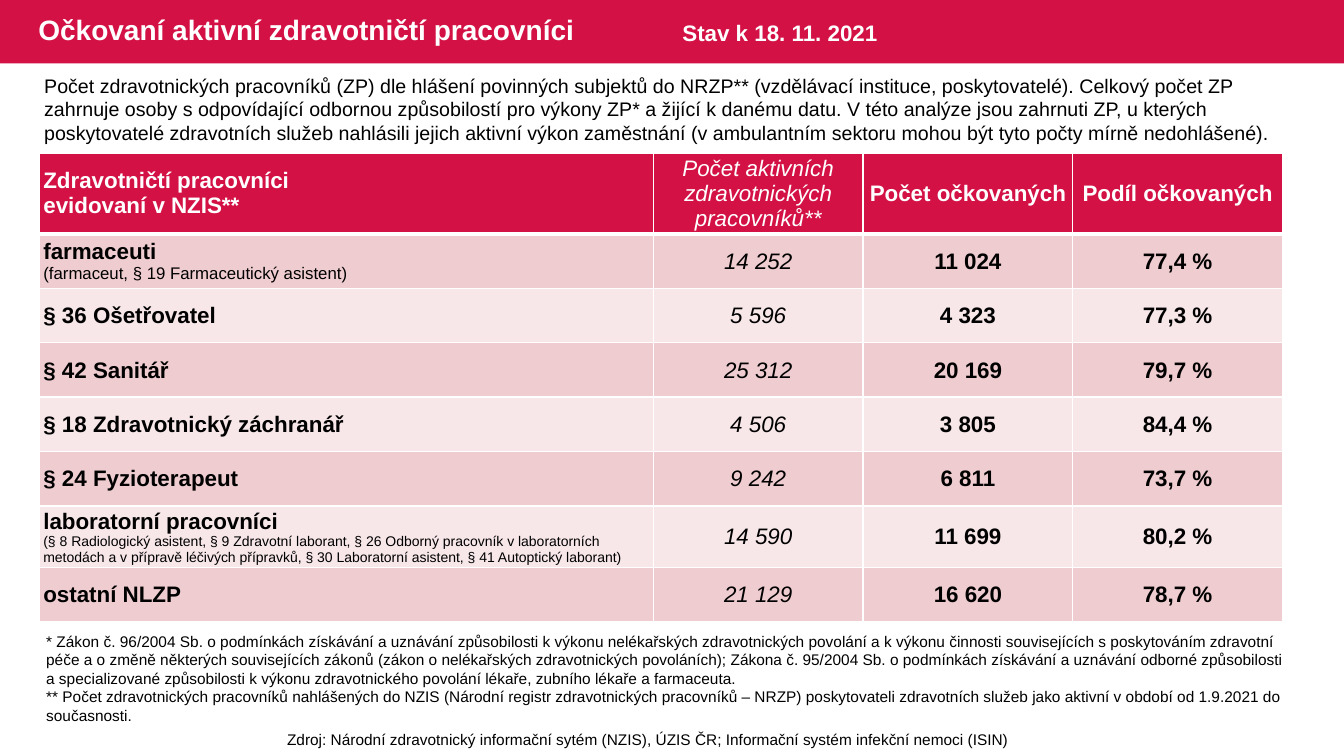
from dataclasses import dataclass

from lxml.etree import SubElement
from pptx import Presentation
from pptx.dml.color import RGBColor
from pptx.enum.shapes import MSO_SHAPE
from pptx.enum.text import MSO_ANCHOR, MSO_AUTO_SIZE, PP_ALIGN
from pptx.oxml.ns import qn
from pptx.util import Inches, Pt


@dataclass(frozen=True)
class Theme:
    font: str = "Arial"
    crimson: str = "D31145"
    dark_row: str = "EFCCCF"
    light_row: str = "F7E7E9"
    white: str = "FFFFFF"
    black: str = "000000"
    title: int = 20
    table: int = 16
    intro: int = 14
    detail: int = 12
    note: int = 11
    small: int = 10


THEME = Theme()

INTRO = (
    "Počet zdravotnických pracovníků (ZP) dle hlášení povinných subjektů do NRZP** "
    "(vzdělávací instituce, poskytovatelé). Celkový počet ZP zahrnuje osoby s odpovídající "
    "odbornou způsobilostí pro výkony ZP* a žijící k danému datu. V této analýze jsou zahrnuti "
    "ZP, u kterých poskytovatelé zdravotních služeb nahlásili jejich aktivní výkon zaměstnání "
    "(v ambulantním sektoru mohou být tyto počty mírně nedohlášené)."
)
NOTES = (
    "* Zákon č. 96/2004 Sb. o podmínkách získávání a uznávání způsobilosti k výkonu "
    "nelékařských zdravotnických povolání a k výkonu činnosti souvisejících s poskytováním "
    "zdravotní péče a o změně některých souvisejících zákonů (zákon o nelékařských "
    "zdravotnických povoláních); Zákona č. 95/2004 Sb. o podmínkách získávání a uznávání "
    "odborné způsobilosti a specializované způsobilosti k výkonu zdravotnického povolání "
    "lékaře, zubního lékaře a farmaceuta.\n"
    "** Počet zdravotnických pracovníků nahlášených do NZIS (Národní registr zdravotnických "
    "pracovníků – NRZP) poskytovateli zdravotních služeb jako aktivní v období od 1.9.2021 "
    "do současnosti."
)
SOURCE = (
    "Zdroj: Národní zdravotnický informační sytém (NZIS), ÚZIS ČR; "
    "Informační systém infekční nemoci (ISIN)"
)
LAB_DETAIL = (
    "(§ 8 Radiologický asistent, § 9 Zdravotní laborant, § 26 Odborný pracovník v laboratorních "
    "metodách a v přípravě léčivých přípravků, § 30 Laboratorní asistent, § 41 Autoptický laborant)"
)
HEADER = (
    "Zdravotničtí pracovníci\nevidovaní v NZIS**",
    "Počet aktivních zdravotnických pracovníků**",
    "Počet očkovaných",
    "Podíl očkovaných",
)
WORKERS = [
    ("farmaceuti\n(farmaceut, § 19 Farmaceutický asistent)", "14 252", "11 024", "77,4 %"),
    ("§ 36 Ošetřovatel", "5 596", "4 323", "77,3 %"),
    ("§ 42 Sanitář", "25 312", "20 169", "79,7 %"),
    ("§ 18 Zdravotnický záchranář", "4 506", "3 805", "84,4 %"),
    ("§ 24 Fyzioterapeut", "9 242", "6 811", "73,7 %"),
    ("laboratorní pracovníci\n" + LAB_DETAIL, "14 590", "11 699", "80,2 %"),
    ("ostatní NLZP", "21 129", "16 620", "78,7 %"),
]
DETAIL_SIZES = {1: THEME.detail, 6: THEME.small}
COLUMN_WIDTHS = (6.09, 2.08, 2.08, 2.08)
ROW_HEIGHTS = (0.75, 0.54, 0.54, 0.54, 0.54, 0.54, 0.57, 0.54)


def format_para(para, size, color, bold=False, italic=False, align=PP_ALIGN.LEFT):
    para.alignment = align
    for span in para.runs:
        span.font.name = THEME.font
        span.font.size = Pt(size)
        span.font.bold = bold
        span.font.italic = italic
        span.font.color.rgb = RGBColor.from_string(color)


def add_band(page, width):
    band = page.shapes.add_shape(MSO_SHAPE.RECTANGLE, 0, 0, width, Inches(0.63))
    band.shadow.inherit = False
    band.fill.solid()
    band.fill.fore_color.rgb = RGBColor.from_string(THEME.crimson)
    band.line.fill.background()
    page.shapes.title.element.addprevious(band.element)


def set_title(page, text):
    title = page.shapes.title
    title.left, title.top = Inches(0.28), Inches(0)
    title.width, title.height = Inches(8.13), Inches(0.63)
    frame = title.text_frame
    frame.text = text
    frame.auto_size = MSO_AUTO_SIZE.NONE
    frame.vertical_anchor = MSO_ANCHOR.MIDDLE
    frame.paragraphs[0].line_spacing = 0.9
    format_para(frame.paragraphs[0], THEME.title, THEME.white, bold=True)


def add_text(page, text, left, top, width, height, size, color=THEME.black, **style):
    box = page.shapes.add_textbox(Inches(left), Inches(top), Inches(width), Inches(height))
    frame = box.text_frame
    frame.word_wrap = True
    frame.auto_size = MSO_AUTO_SIZE.SHAPE_TO_FIT_TEXT
    frame.text = text
    for para in frame.paragraphs:
        format_para(para, size, color, **style)


def set_borders(cell, top, bottom):
    """Draw white cell borders; top and bottom are widths in points."""
    properties = cell._tc.get_or_add_tcPr()
    for side, points in (("L", 1), ("R", 1), ("T", top), ("B", bottom)):
        line = SubElement(properties, qn(f"a:ln{side}"), w=str(Pt(points)))
        fill = SubElement(line, qn("a:solidFill"))
        SubElement(fill, qn("a:srgbClr"), val=THEME.white)


def fill_cell(cell, text, row, column):
    is_header = row == 0
    set_borders(cell, top=3 if row == 1 else 1, bottom=3 if is_header else 1)
    background = THEME.crimson if is_header else (THEME.light_row, THEME.dark_row)[row % 2]
    cell.fill.solid()
    cell.fill.fore_color.rgb = RGBColor.from_string(background)
    cell.vertical_anchor = MSO_ANCHOR.MIDDLE
    cell.margin_left = Inches(0.04 if is_header or column == 0 else 0.01)
    cell.margin_right = Inches(0.04 if is_header else 0.01)
    cell.margin_top = Inches(0 if is_header else 0.01)
    cell.margin_bottom = Inches(0)
    cell.text_frame.text = text
    for index, para in enumerate(cell.text_frame.paragraphs):
        is_detail = index > 0 and not is_header
        format_para(
            para,
            DETAIL_SIZES[row] if is_detail else THEME.table,
            THEME.white if is_header else THEME.black,
            bold=column != 1 and not is_detail,
            italic=column == 1,
            align=PP_ALIGN.CENTER if column else PP_ALIGN.LEFT,
        )


def add_worker_table(page):
    rows = [HEADER, *WORKERS]
    table = page.shapes.add_table(
        len(rows), len(HEADER), Inches(0.39), Inches(1.52),
        Inches(sum(COLUMN_WIDTHS)), Inches(sum(ROW_HEIGHTS)),
    ).table
    for column, width in zip(table.columns, COLUMN_WIDTHS):
        column.width = Inches(width)
    for row, height in zip(table.rows, ROW_HEIGHTS):
        row.height = Inches(height)
    for row, texts in enumerate(rows):
        for column, text in enumerate(texts):
            fill_cell(table.cell(row, column), text, row, column)


def main():
    deck = Presentation()
    deck.slide_width, deck.slide_height = Inches(13.33), Inches(7.5)
    page = deck.slides.add_slide(deck.slide_layouts[5])
    add_band(page, deck.slide_width)
    set_title(page, "Očkovaní aktivní zdravotničtí pracovníci")
    add_text(page, NOTES, 0.36, 6.22, 12.53, 1.03, THEME.note)
    add_text(page, INTRO, 0.34, 0.68, 12.64, 0.81, THEME.intro)
    add_text(page, "Stav k 18. 11. 2021", 6.67, 0.14, 2.2, 0.37, THEME.table,
             THEME.white, bold=True)
    add_worker_table(page)
    add_text(page, SOURCE, 1.9, 7.19, 9.06, 0.29, THEME.note, align=PP_ALIGN.CENTER)
    deck.save("out.pptx")


if __name__ == "__main__":
    main()
